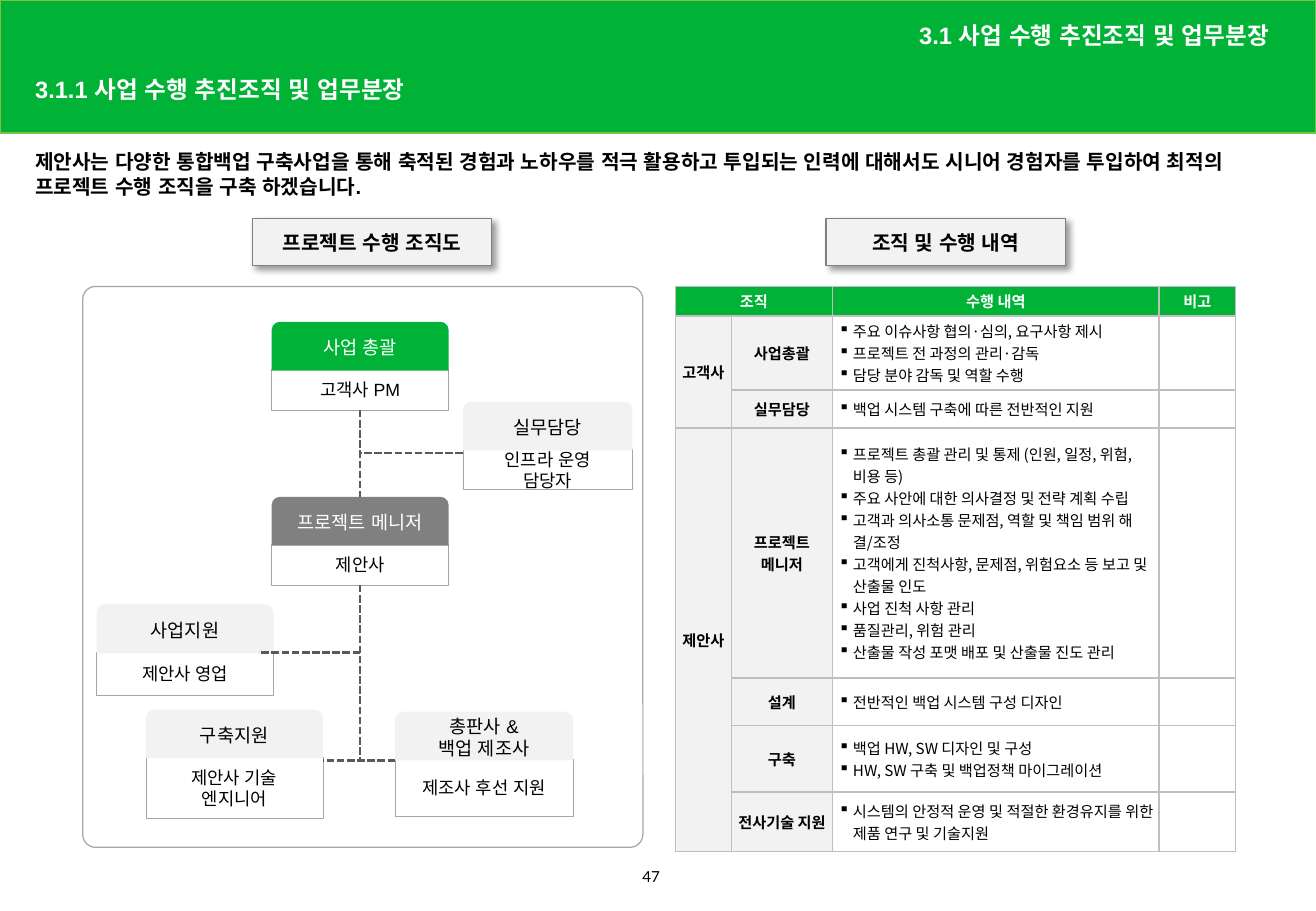
import pptx
import pptx.util
import pptx.oxml.ns
import pptx.dml.color
import pptx.enum.dml
import pptx.enum.shapes
import pptx.enum.text
from lxml import etree

Cm = pptx.util.Cm
Pt = pptx.util.Pt
RGBColor = pptx.dml.color.RGBColor
MSO_SHAPE = pptx.enum.shapes.MSO_SHAPE
PP_ALIGN = pptx.enum.text.PP_ALIGN
MSO_ANCHOR = pptx.enum.text.MSO_ANCHOR
qn = pptx.oxml.ns.qn

GREEN = RGBColor(0x00, 0xB3, 0x36)
LIME = RGBColor(0x7B, 0xC1, 0x44)
WHITE = RGBColor(0xFF, 0xFF, 0xFF)
BLACK = RGBColor(0x00, 0x00, 0x00)
PALE = RGBColor(0xF2, 0xF2, 0xF2)
SILVER = RGBColor(0xBF, 0xBF, 0xBF)
OUTLINE = RGBColor(0xA6, 0xA6, 0xA6)
GRAY = RGBColor(0x80, 0x80, 0x80)
DARK = RGBColor(0x59, 0x59, 0x59)


def write_text(text_frame, text, size, color, bold=False, align=PP_ALIGN.CENTER, font="Arial"):
    text_frame.text = text
    text_frame.word_wrap = True
    for paragraph in text_frame.paragraphs:
        paragraph.alignment = align
        for run in paragraph.runs:
            run.font.size = Pt(size)
            run.font.bold = bold
            run.font.name = font
            run.font.color.rgb = color
            etree.SubElement(run.font._element, qn("a:ea"), typeface=font)


def add_box(kind, left, top, width, height, fill=None, line=None, line_width=0.75):
    shape = slide.shapes.add_shape(kind, Cm(left), Cm(top), Cm(width), Cm(height))
    shape.shadow.inherit = False
    if fill is None:
        shape.fill.background()
    else:
        shape.fill.solid()
        shape.fill.fore_color.rgb = fill
    if line is None:
        shape.line.fill.background()
    else:
        shape.line.color.rgb = line
        shape.line.width = Pt(line_width)
    shape.text_frame.vertical_anchor = MSO_ANCHOR.MIDDLE
    return shape


presentation = pptx.Presentation()
presentation.slide_width = Cm(27.51)
presentation.slide_height = Cm(19.05)
slide = presentation.slides.add_slide(presentation.slide_layouts[3])

banner = add_box(MSO_SHAPE.RECTANGLE, 0, 0, 27.51, 2.79, GREEN, LIME, 1)
slide.shapes._spTree.insert(2, banner._element)

title, message, section = slide.placeholders
headings = [
    (title, 0.48, 1.5, 16.26, 0.79, "3.1.1 사업 수행 추진조직 및 업무분장",
     14, WHITE, PP_ALIGN.LEFT, MSO_ANCHOR.MIDDLE, 0.9),
    (message, 0.48, 3, 26.29, 3,
     "제안사는 다양한 통합백업 구축사업을 통해 축적된 경험과 노하우를 적극 활용하고 투입되는 인력에 대해서도 "
     "시니어 경험자를 투입하여 최적의 프로젝트 수행 조직을 구축 하겠습니다.",
     12, BLACK, PP_ALIGN.LEFT, MSO_ANCHOR.TOP, 1.0),
    (section, 14.6, 0.28, 12.19, 0.99, "3.1 사업 수행 추진조직 및 업무분장",
     14, WHITE, PP_ALIGN.RIGHT, MSO_ANCHOR.MIDDLE, 0.9),
]
for shape, left, top, width, height, text, size, color, align, anchor, spacing in headings:
    shape.left, shape.top, shape.width, shape.height = Cm(left), Cm(top), Cm(width), Cm(height)
    shape.text_frame.auto_size = pptx.enum.text.MSO_AUTO_SIZE.NONE
    shape.text_frame.vertical_anchor = anchor
    write_text(shape.text_frame, text, size, color, True, align)
    paragraph = shape.text_frame.paragraphs[0]
    properties = paragraph._p.get_or_add_pPr()
    properties.set("marL", "0")
    properties.set("indent", "0")
    etree.SubElement(properties, qn("a:buNone"))
    paragraph.line_spacing = spacing
    paragraph.space_before = Pt(0)

for left, text in [(5.28, "프로젝트 수행 조직도"), (17.27, "조직 및 수행 내역")]:
    label = add_box(MSO_SHAPE.RECTANGLE, left, 4.57, 5, 0.99, PALE, GRAY)
    write_text(label.text_frame, text, 12, BLACK, True)
    effects = label._element.spPr.find(qn("a:effectLst"))
    shadow = etree.SubElement(effects, qn("a:outerShdw"), blurRad=str(Pt(4)), dist=str(Pt(3)),
                              dir="2700000", algn="tl", rotWithShape="0")
    shadow_color = etree.SubElement(shadow, qn("a:srgbClr"), val=str(BLACK))
    etree.SubElement(shadow_color, qn("a:alpha"), val="40000")

frame = add_box(MSO_SHAPE.ROUNDED_RECTANGLE, 1.73, 5.99, 11.71, 11.73, None, OUTLINE)
frame.adjustments[0] = 0.023

cards = [
    ("사업 총괄", GREEN, WHITE, "고객사 PM", 5.68, 6.73, 3.7, 0.84),
    ("프로젝트 메니저", GRAY, WHITE, "제안사", 5.68, 10.39, 3.7, 0.84),
    ("실무담당", PALE, BLACK, "인프라 운영\n담당자", 9.68, 8.4, 3.54, 0.84),
    ("사업지원", PALE, BLACK, "제안사 영업", 2.02, 12.64, 3.7, 0.89),
    ("구축지원", PALE, BLACK, "제안사 기술\n엔지니어", 3.05, 14.84, 3.7, 1.27),
    ("총판사 &\n백업 제조사", PALE, BLACK, "제조사 후선 지원", 8.26, 14.88, 3.72, 1.19),
]
card_parts = {}
for role, fill, color, member, left, top, width, height in cards:
    member_box = add_box(MSO_SHAPE.RECTANGLE, left, top + 1, width, height, WHITE, OUTLINE, 0.25)
    write_text(member_box.text_frame, member, 10.5, BLACK)
    role_box = add_box(MSO_SHAPE.ROUND_2_SAME_RECTANGLE, left, top, width, 1.02, fill)
    write_text(role_box.text_frame, role, 11, color)
    card_parts[role] = (role_box, member_box)

client_box = card_parts["사업 총괄"][1]
manager_head, manager_box = card_parts["프로젝트 메니저"]
links = [
    (7.53, 8.57, 7.53, 10.39, client_box, manager_head),
    (7.53, 12.23, 7.53, 15.9, manager_box, None),
    (9.68, 9.47, 7.53, 9.47, None, None),
    (7.53, 13.64, 5.41, 13.64, None, None),
    (8.26, 15.9, 6.75, 15.9, None, None),
]
for start_x, start_y, end_x, end_y, start_box, end_box in links:
    connector = slide.shapes.add_connector(
        pptx.enum.shapes.MSO_CONNECTOR.STRAIGHT, Cm(start_x), Cm(start_y), Cm(end_x), Cm(end_y))
    if start_box is not None:
        connector.begin_connect(start_box, 2)
    if end_box is not None:
        connector.end_connect(end_box, 0)
    connector.line.color.rgb = DARK
    connector.line.width = Pt(1.5)
    connector.line.dash_style = pptx.enum.dml.MSO_LINE.SQUARE_DOT
    etree.SubElement(connector._element.spPr, qn("a:effectLst"))

duties = [
    ("조직", "", "수행 내역", "비고"),
    ("고객사", "사업총괄",
     "주요 이슈사항 협의·심의, 요구사항 제시\n프로젝트 전 과정의 관리·감독\n담당 분야 감독 및 역할 수행", ""),
    ("", "실무담당", "백업 시스템 구축에 따른 전반적인 지원", ""),
    ("제안사", "프로젝트\n메니저",
     "프로젝트 총괄 관리 및 통제 (인원, 일정, 위험, 비용 등)\n"
     "주요 사안에 대한 의사결정 및 전략 계획 수립\n"
     "고객과 의사소통 문제점, 역할 및 책임 범위 해결/조정\n"
     "고객에게 진척사항, 문제점, 위험요소 등 보고 및 산출물 인도\n"
     "사업 진척 사항 관리\n품질관리, 위험 관리\n산출물 작성 포맷 배포 및 산출물 진도 관리", ""),
    ("", "설계", "전반적인 백업 시스템 구성 디자인", ""),
    ("", "구축", "백업 HW, SW 디자인 및 구성\nHW, SW 구축 및 백업정책 마이그레이션", ""),
    ("", "전사기술 지원", "시스템의 안정적 운영 및 적절한 환경유지를 위한 제품 연구 및 기술지원", ""),
]
column_widths = [1.17, 2.11, 6.83, 1.6]
row_heights = [0.61, 1.42, 0.79, 5.23, 0.99, 1.4, 1.24]
table = slide.shapes.add_table(7, 4, Cm(14.12), Cm(5.99), Cm(11.71), Cm(11.68)).table
table.first_row = False
table.horz_banding = False
for column, width in zip(table.columns, column_widths):
    column.width = Cm(width)
for row, height in zip(table.rows, row_heights):
    row.height = Cm(height)

for row_index, duty in enumerate(duties):
    for column_index, text in enumerate(duty):
        cell = table.cell(row_index, column_index)
        is_header = row_index == 0
        is_list = column_index == 2 and not is_header
        cell.margin_left = Cm(0.13 if is_list else 0.08)
        cell.margin_right = cell.margin_top = cell.margin_bottom = Cm(0.08)
        cell.vertical_anchor = MSO_ANCHOR.MIDDLE
        cell_properties = cell._tc.get_or_add_tcPr()
        for side in ("a:lnL", "a:lnR", "a:lnT", "a:lnB"):
            border = etree.SubElement(cell_properties, qn(side), w=str(Pt(1)))
            border_fill = etree.SubElement(border, qn("a:solidFill"))
            etree.SubElement(border_fill, qn("a:srgbClr"), val=str(SILVER))
        cell.fill.solid()
        cell.fill.fore_color.rgb = GREEN if is_header else PALE if column_index < 2 else WHITE
        write_text(cell.text_frame, text, 9, WHITE if is_header else BLACK, not is_list,
                   PP_ALIGN.LEFT if is_list else PP_ALIGN.CENTER, "Noto Sans CJK KR")
        for paragraph in cell.text_frame.paragraphs:
            if not text:
                etree.SubElement(paragraph._p, qn("a:endParaRPr"), sz="900")
            if is_list:
                paragraph.level = 2
                properties = paragraph._p.get_or_add_pPr()
                properties.set("marL", str(Cm(0.3)))
                properties.set("indent", str(Cm(-0.3)))
                bullet_color = etree.SubElement(properties, qn("a:buClr"))
                etree.SubElement(bullet_color, qn("a:srgbClr"), val=str(BLACK))
                etree.SubElement(properties, qn("a:buChar"), char="▪")

for first, last in [((0, 0), (0, 1)), ((1, 0), (2, 0)), ((3, 0), (6, 0))]:
    table.cell(*first).merge(table.cell(*last))

page_number = slide.shapes.add_textbox(Cm(13.18), Cm(18.01), Cm(1.14), Cm(0.71))
write_text(page_number.text_frame, "47", 9, BLACK, align=PP_ALIGN.LEFT, font="Lato")

presentation.save("out.pptx")
